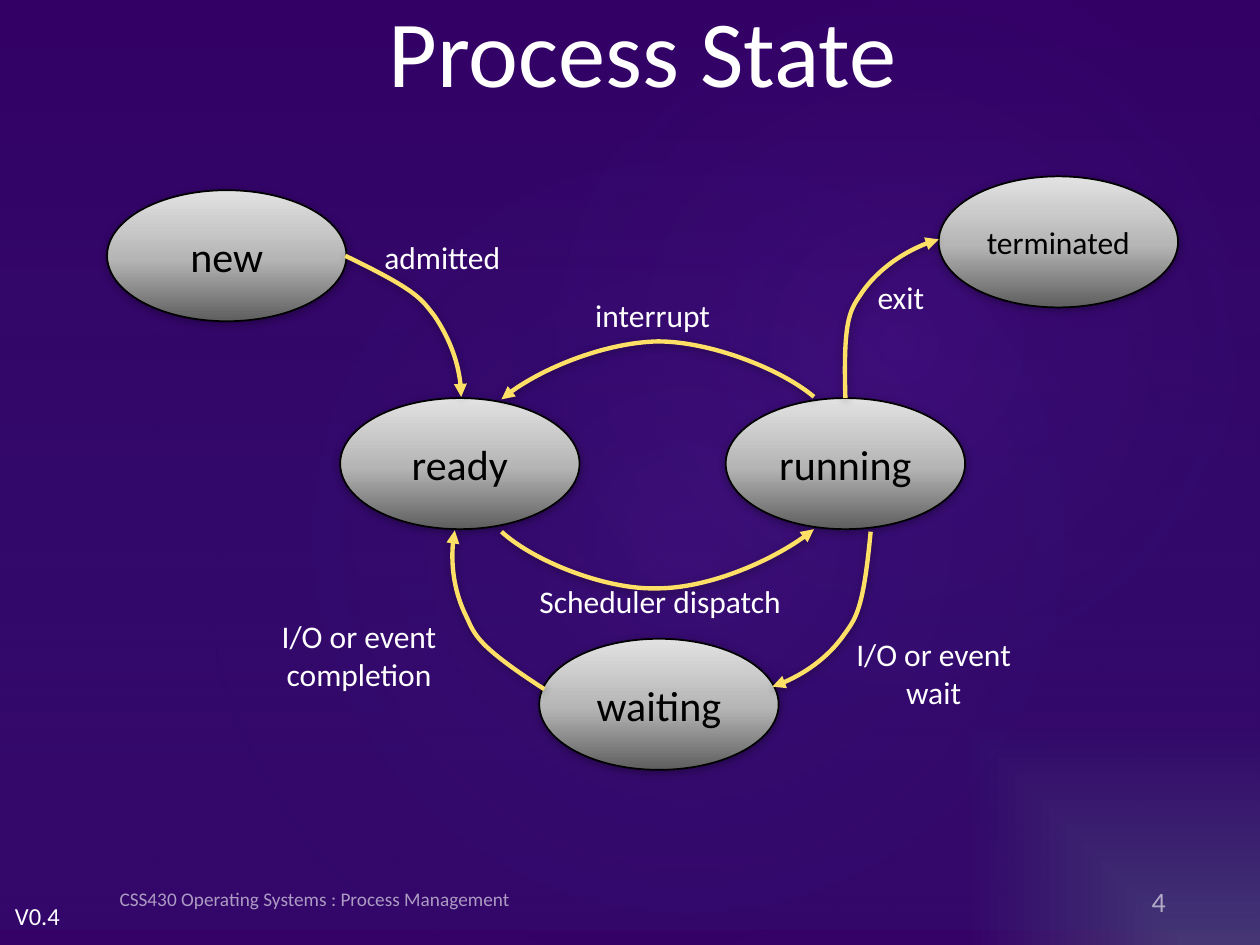
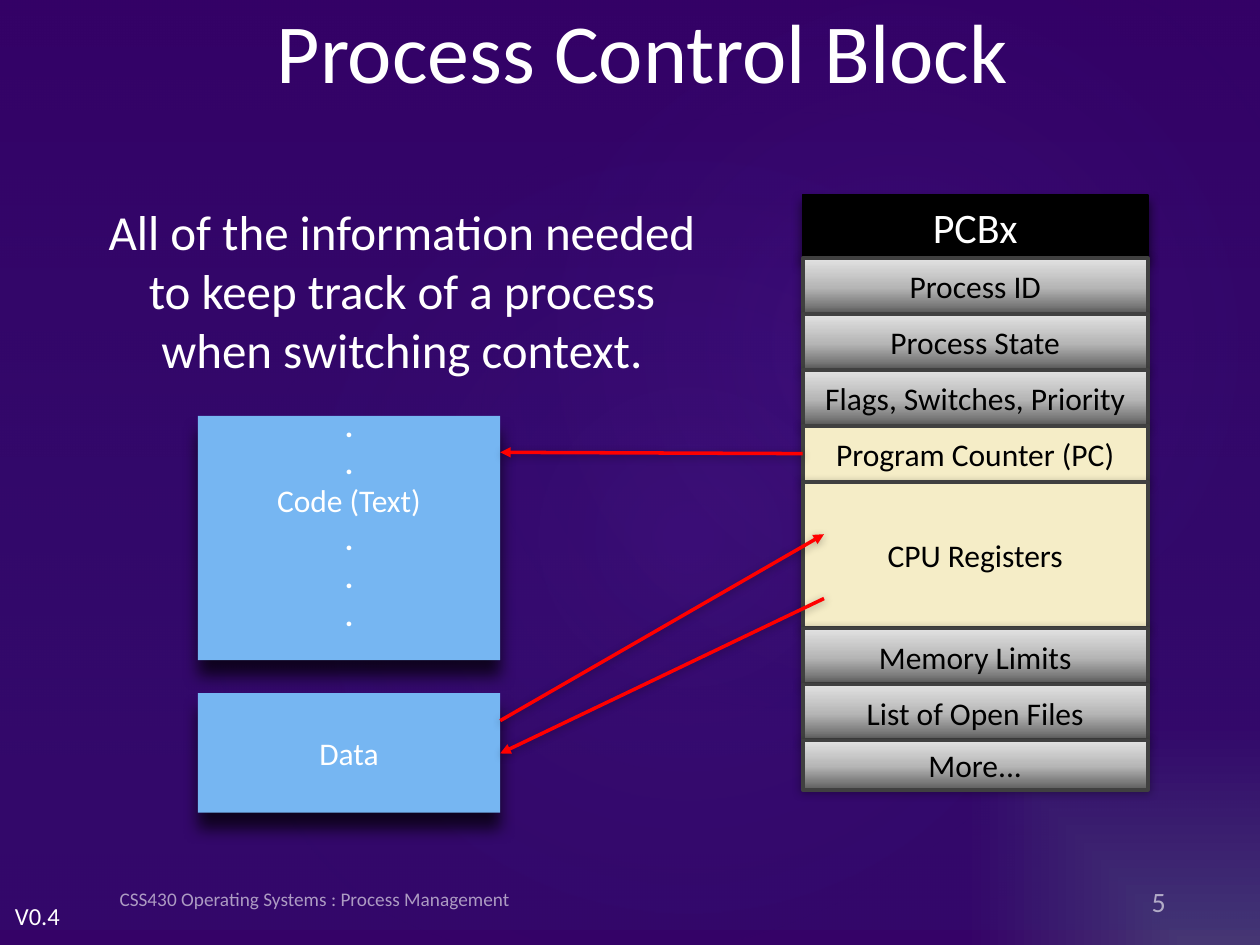
from lxml.etree import SubElement
from pptx import Presentation
from pptx.dml.color import RGBColor
from pptx.enum.shapes import MSO_CONNECTOR, MSO_SHAPE
from pptx.enum.text import MSO_ANCHOR, PP_ALIGN
from pptx.oxml.ns import qn
from pptx.oxml.xmlchemy import OxmlElement
from pptx.util import Inches, Pt

COLORS = {
    "white": "FFFFFF", "black": "000000", "dark": "404040",
    "purple": "350267", "violet": "330066", "slate": "463673",
    "navy": "263B86", "glow": "A347FF", "yellow": "FFE066",
    "cream": "F5EDC7", "blue": "76B6F2", "red": "FF0000",
    "steel_low": "5E5E5E", "steel_mid": "B6B6B6", "steel_high": "E2E2E2",
}
FONT = "Calibri"
STEEL = dict(stops=[(0, "steel_low", 100), (48, "steel_mid", 100),
                    (100, "steel_high", 100)], angle=270)
SOFT = (32, 5, 1)
HEADER_SHADOW = (60, 6, 3)
DEEP = (70, 9, 9)
FOOTER = "CSS430 Operating Systems : Process Management"


def rgb(name):
    return RGBColor.from_string(COLORS[name])


def add_color(parent, name, alpha):
    color = SubElement(parent, qn("a:srgbClr"), val=COLORS[name])
    if alpha < 100:
        SubElement(color, qn("a:alpha"), val=str(alpha * 1000))


def gradient(stops, angle=None, shade=None, focus=(50, 50, 50, 50)):
    grad = OxmlElement("a:gradFill")
    stop_list = SubElement(grad, qn("a:gsLst"))
    for position, name, alpha in stops:
        stop = SubElement(stop_list, qn("a:gs"), pos=str(position * 1000))
        add_color(stop, name, alpha)
    if shade:
        spread = SubElement(grad, qn("a:path"), {"path": shade})
        sides = {side: str(value * 1000) for side, value in zip("ltrb", focus)}
        SubElement(spread, qn("a:fillToRect"), sides)
    else:
        SubElement(grad, qn("a:lin"), ang=str(angle * 60000), scaled="0")
    return grad


def paint(fill, parent, style):
    fill.solid()
    if isinstance(style, str):
        fill.fore_color.rgb = rgb(style)
    else:
        parent.replace(parent.find(qn("a:solidFill")), gradient(**style))


def add_shadow(properties, shadow):
    effects = properties.find(qn("a:effectLst"))
    if effects is None:
        effects = SubElement(properties, qn("a:effectLst"))
    if shadow:
        alpha, blur, distance = shadow
        outer = SubElement(effects, qn("a:outerShdw"), blurRad=str(Pt(blur)),
                           dist=str(Pt(distance)), dir="5400000", rotWithShape="0")
        add_color(outer, "black", alpha)


class Deck:
    def __init__(self):
        self.prs = Presentation()
        self.prs.slide_width = Inches(10)
        self.prs.slide_height = Inches(7.5)
        master = self.prs.slide_master
        fill = master.background.fill
        fill.solid()
        paint(fill, master._element.find(".//" + qn("p:bgPr")),
              dict(stops=[(0, "slate", 100), (47, "purple", 100)],
                   shade="rect", focus=(100, 100, 0, 0)))

    def new_slide(self, title, size, number):
        self.slide = self.prs.slides.add_slide(self.prs.slide_layouts[5])
        self.shapes = self.slide.shapes
        self.shape(MSO_SHAPE.RECTANGLE, (0, -0.12, 10, 7.5),
                   dict(stops=[(0, "violet", 36), (100, "navy", 10)], angle=90))
        for box, alpha in (((1.5, 1.14, 7.92, 6.24), 7), ((3.58, 0.13, 7.09, 5.2), 8)):
            halo = self.shape(MSO_SHAPE.OVAL, box,
                              dict(stops=[(0, "glow", alpha), (58, "navy", 0)],
                                   shade="circle"))
            halo.rotation = 328.7
        self.text("V0.4", (0.02, 7.1, 0.57, 0.34), 14, align=PP_ALIGN.LEFT, wrap=False)
        self.title(title, size)
        page = self.text(str(number), (8.23, 6.93, 1.12, 0.4), 16, align=PP_ALIGN.RIGHT,
                         anchor=MSO_ANCHOR.MIDDLE, alpha=60)
        page.text_frame.margin_bottom = Inches(0.01)
        self.text(FOOTER, (0.85, 6.93, 5.05, 0.4), 11, align=PP_ALIGN.LEFT,
                  anchor=MSO_ANCHOR.MIDDLE, alpha=60)

    def title(self, title, size):
        heading = self.shapes.title
        heading.left, heading.top, heading.width, heading.height = map(
            Inches, (0.85, 0, 8.5, 0.79))
        self.fill_text(heading.text_frame, title, size, "white")
        self.shapes._spTree.append(heading._element)

    def fill_text(self, frame, text, size, color, align=PP_ALIGN.CENTER,
                  anchor=MSO_ANCHOR.MIDDLE, wrap=True, alpha=100):
        frame.word_wrap = wrap
        frame.vertical_anchor = anchor
        frame.text = text
        for paragraph in frame.paragraphs:
            paragraph.alignment = align
            font = paragraph.font
            font.name, font.size = FONT, Pt(size)
            font.bold = paragraph.text == "."
            font.color.rgb = rgb(color)
            if alpha < 100:
                tint = font._element.find(".//" + qn("a:srgbClr"))
                SubElement(tint, qn("a:alpha"), val=str(alpha * 1000))

    def text(self, text, box, size, anchor=MSO_ANCHOR.TOP, **options):
        label = self.shapes.add_textbox(*map(Inches, box))
        self.fill_text(label.text_frame, text, size, "white", anchor=anchor, **options)
        return label

    def shape(self, kind, box, fill, text="", size=18, color="black",
              line=None, shadow=None, into=None):
        item = (into or self.shapes).add_shape(kind, *map(Inches, box))
        properties = item._element.spPr
        paint(item.fill, properties, fill)
        if line:
            name, width = line
            item.line.color.rgb, item.line.width = rgb(name), Pt(width)
        else:
            item.line.fill.background()
        item.shadow.inherit = False
        add_shadow(properties, shadow)
        if text:
            self.fill_text(item.text_frame, text, size, color)
        return item

    def arrowhead(self, item, color, width):
        item.line.color.rgb, item.line.width = rgb(color), Pt(width)
        SubElement(item.line._get_or_add_ln(), qn("a:tailEnd"), type="triangle")
        add_shadow(item._element.spPr, SOFT)

    def arrow(self, start, end):
        link = self.shapes.add_connector(MSO_CONNECTOR.STRAIGHT,
                                         *map(Inches, (*start, *end)))
        self.arrowhead(link, "red", 2)

    def curve(self, points):
        start, *others = [(Inches(x), Inches(y)) for x, y in points]
        builder = self.shapes.build_freeform(*start)
        builder.add_line_segments(others, close=False)
        bend = builder.convert_to_shape()
        outline = bend._element.find(".//" + qn("a:path"))
        segments = outline.findall(qn("a:lnTo"))
        for first in range(0, len(segments), 3):
            bezier = SubElement(outline, qn("a:cubicBezTo"))
            for segment in segments[first:first + 3]:
                bezier.append(segment[0])
                outline.remove(segment)
        bend.fill.background()
        bend.shadow.inherit = False
        self.arrowhead(bend, "yellow", 2.5)


def process_state(deck):
    deck.new_slide("Process State", 54, 4)
    states = [("new", 0.85, 1.51, 24), ("waiting", 4.28, 5.07, 24),
              ("ready", 2.7, 3.16, 24), ("running", 5.76, 3.16, 24),
              ("terminated", 7.45, 1.4, 18)]
    for state, left, top, size in states:
        deck.shape(MSO_SHAPE.OVAL, (left, top, 1.9, 1.04), STEEL, state, size,
                   line=("black", 1), shadow=SOFT)
    transitions = [
        ("interrupt", (4.23, 2.3, 1.9, 0.4),
         [(6.46, 3.15), (6.2, 2.93), (5.64, 2.71), (5.22, 2.71),
          (4.81, 2.72), (4.23, 2.95), (3.98, 3.17)]),
        ("Scheduler dispatch", (3.99, 4.57, 2.5, 0.4),
         [(3.98, 4.22), (4.23, 4.45), (4.8, 4.68), (5.21, 4.67),
          (5.62, 4.67), (6.2, 4.42), (6.46, 4.2)]),
        ("exit", (6.2, 2.16, 1.9, 0.4),
         [(6.71, 3.16), (6.69, 2.5), (6.75, 2.46), (6.85, 2.31),
          (6.95, 2.17), (7.17, 1.98), (7.45, 1.9)]),
        ("I/O or event\ncompletion", (1.9, 4.85, 1.9, 0.71),
         [(4.32, 5.47), (3.78, 5.12), (3.77, 5.04), (3.7, 4.89),
          (3.62, 4.73), (3.56, 4.46), (3.61, 4.21)]),
        ("I/O or event\nwait", (6.46, 4.99, 1.9, 0.71),
         [(6.91, 4.22), (6.85, 4.86), (6.79, 4.91), (6.69, 5.05),
          (6.59, 5.19), (6.38, 5.37), (6.13, 5.45)]),
        ("admitted", (2.56, 1.84, 1.9, 0.4),
         [(2.74, 2.03), (3.32, 2.31), (3.34, 2.37), (3.45, 2.51),
          (3.55, 2.66), (3.66, 2.9), (3.66, 3.15)]),
    ]
    for label, box, points in transitions:
        deck.curve(points)
        deck.text(label, box, 18)


def process_control_block(deck):
    deck.new_slide("Process Control Block", 48, 5)
    deck.text("All of the information needed to keep track of a process "
              "when switching context.", (0.69, 1.55, 5, 1.51), 28)

    left, top, width, row = 6.37, 2.05, 2.74, 4 / 9
    block = deck.shapes.add_group_shape().shapes
    deck.shape(MSO_SHAPE.RECTANGLE, (left, 1.55, width, 0.5), "black", "PCBx", 24,
               "white", line=("black", 1), shadow=HEADER_SHADOW, into=block)
    fields = [("Process ID", row, STEEL), ("Process State", row, STEEL),
              ("Flags, Switches, Priority", row, STEEL),
              ("Program Counter (PC)", row, "cream"), ("CPU Registers", 1.16, "cream"),
              ("Memory Limits", row, STEEL), ("List of Open Files", row, STEEL),
              ("More...", 0.39, STEEL)]
    for field, height, fill in fields:
        deck.shape(MSO_SHAPE.RECTANGLE, (left, top, width, height), fill, field,
                   line=("dark", 2.25), shadow=SOFT, into=block)
        top += height

    code = deck.shape(MSO_SHAPE.RECTANGLE, (1.57, 3.3, 2.4, 1.94), "blue",
                      ".\n.\nCode (Text)\n.\n.\n.", color="white", shadow=DEEP)
    code.text_frame.margin_bottom = Inches(0.35)
    deck.shape(MSO_SHAPE.RECTANGLE, (1.57, 5.5, 2.4, 0.95), "blue", "Data",
               color="white", shadow=DEEP)
    for start, end in [((6.37, 3.6), (3.97, 3.59)), ((3.97, 5.72), (6.54, 4.24)),
                       ((6.54, 4.75), (3.97, 5.98))]:
        deck.arrow(start, end)


def main():
    deck = Deck()
    process_state(deck)
    process_control_block(deck)
    deck.prs.save("out.pptx")


if __name__ == "__main__":
    main()
